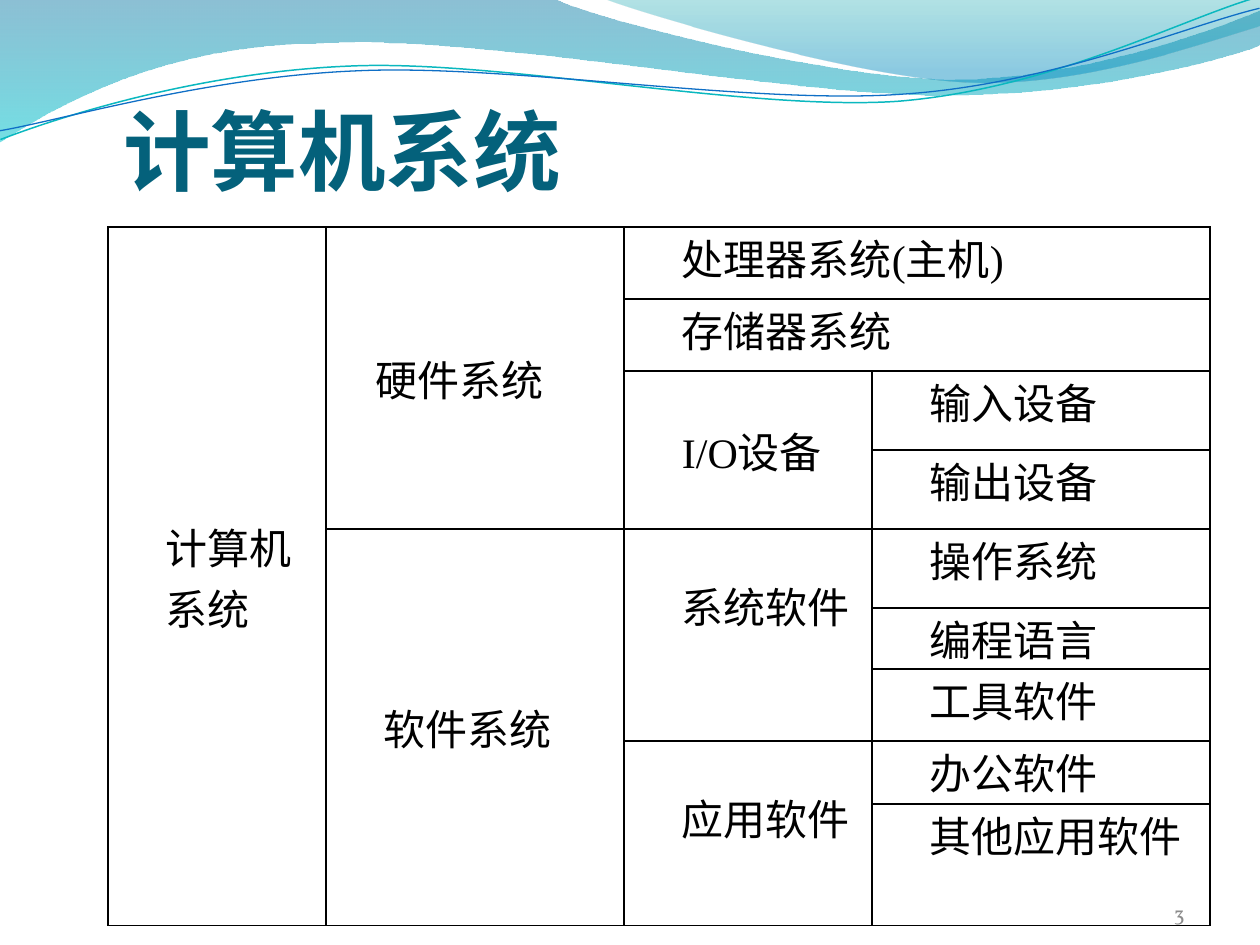
import lxml.etree
import pptx
import pptx.dml.color
import pptx.enum.text
import pptx.oxml.ns
import pptx.util

SCALE = 914400 / 126
BLACK = pptx.dml.color.RGBColor(0x00, 0x00, 0x00)
TITLE_BLUE = pptx.dml.color.RGBColor(0x04, 0x61, 0x7B)
NUMBER_GRAY = pptx.dml.color.RGBColor(0x8C, 0x8C, 0x8C)
DEEP_BLUE = pptx.dml.color.RGBColor(0x00, 0x74, 0xA1)
CYAN = pptx.dml.color.RGBColor(0x00, 0xC6, 0xCF)
TEAL = pptx.dml.color.RGBColor(0x00, 0xA1, 0xA9)
SKY_BLUE = pptx.dml.color.RGBColor(0x00, 0x8B, 0xBF)
LINE_TEAL = pptx.dml.color.RGBColor(0x0A, 0xB8, 0xBF)
LINE_BLUE = pptx.dml.color.RGBColor(0x0F, 0x6F, 0xC6)
LEFT = pptx.enum.text.PP_ALIGN.LEFT
RIGHT = pptx.enum.text.PP_ALIGN.RIGHT
JUSTIFY = pptx.enum.text.PP_ALIGN.JUSTIFY
TOP = pptx.enum.text.MSO_ANCHOR.TOP
MIDDLE = pptx.enum.text.MSO_ANCHOR.MIDDLE
BOTTOM = pptx.enum.text.MSO_ANCHOR.BOTTOM
qn = pptx.oxml.ns.qn


def px(length):
    return pptx.util.Emu(round(length * SCALE))


def write_text(text_frame, text, font="Times New Roman", size=24, color=BLACK,
               bold=False, align=JUSTIFY, indent=0):
    text_frame.text = text
    for paragraph in text_frame.paragraphs:
        paragraph.alignment = align
        properties = paragraph._p.get_or_add_pPr()
        properties.set("marL", "0")
        properties.set("indent", str(px(indent)))
        for run in paragraph.runs:
            run.font.name = font
            run.font.size = pptx.util.Pt(size)
            run.font.bold = bold
            run.font.color.rgb = color


presentation = pptx.Presentation()
presentation.slide_width = px(1260)
presentation.slide_height = px(945)
slide = presentation.slides.add_slide(presentation.slide_layouts[5])

waves = [
    {"start": (0, -1),
     "segments": [[(554, -1)],
                  [(600, 21), (837, 79), (955, 79)],
                  [(1075, 79), (1207, 33), (1260, 11)],
                  [(1261, 45)],
                  [(1239, 55), (1096, 96), (940, 95)],
                  [(784, 95), (481, 35), (324, 43)],
                  [(163, 44), (58, 105), (-1, 142)]],
     "stops": [(0, DEEP_BLUE, 45), (1, CYAN, 55)]},
    {"start": (604, -1),
     "segments": [[(641, 14), (859, 78), (969, 82)],
                  [(1084, 87), (1211, 40), (1260, 26)],
                  [(1260, 0)]],
     "stops": [(0, TEAL, 30), (0.8, SKY_BLUE, 45)]},
    {"start": (-2, 110),
     "segments": [[(58, 90), (199, 52), (350, 53)],
                  [(499, 53), (745, 117), (896, 114)],
                  [(1049, 109), (1184, 45), (1260, 27)]],
     "line": (LINE_TEAL, 0.85)},
    {"start": (-2, 101),
     "segments": [[(57, 94), (207, 57), (357, 58)],
                  [(509, 58), (750, 111), (902, 107)],
                  [(1052, 104), (1188, 52), (1262, 38)]],
     "line": (LINE_BLUE, 0.75)},
]
for wave in waves:
    points = [tuple(px(value) for value in point)
              for segment in wave["segments"] for point in segment]
    builder = slide.shapes.build_freeform(*(px(value) for value in wave["start"]))
    builder.add_line_segments(points, close="stops" in wave)
    shape = builder.convert_to_shape()
    shape.shadow.inherit = False
    straight_parts = iter(list(shape.element.spPr.iter(qn("a:lnTo"))))
    for segment in wave["segments"]:
        parts = [next(straight_parts) for _ in segment]
        if len(parts) == 3:
            curve = lxml.etree.Element(qn("a:cubicBezTo"))
            parts[0].addprevious(curve)
            for part in parts:
                curve.append(part[0])
                part.getparent().remove(part)
    if "stops" in wave:
        shape.line.fill.background()
        shape.fill.gradient()
        shape.fill.gradient_angle = 270
        for stop, (position, color, _) in zip(shape.fill.gradient_stops, wave["stops"]):
            stop.position = position
            stop.color.rgb = color
        colors = shape.element.spPr.iter(qn("a:srgbClr"))
        for element, (_, _, opacity) in zip(colors, wave["stops"]):
            lxml.etree.SubElement(element, qn("a:alpha"), val=str(opacity * 1000))
    else:
        color, width = wave["line"]
        shape.rotation = 357.3
        shape.fill.background()
        shape.line.color.rgb = color
        shape.line.width = pptx.util.Pt(width)

title = slide.shapes.title
title.left, title.top, title.width, title.height = px(123), px(76), px(1071), px(126)
write_text(title.text_frame, "计算机系统", font="Calibri", size=50, color=TITLE_BLUE,
           bold=True, align=LEFT)
title.text_frame.vertical_anchor = BOTTOM
title.text_frame.auto_size = pptx.enum.text.MSO_AUTO_SIZE.NONE
title.text_frame.margin_left = title.text_frame.margin_right = 0
title.text_frame.margin_top = px(6)
title.text_frame.margin_bottom = 0
slide.shapes.element.append(title.element)

column_widths = [218, 298, 248, 338]
row_heights = [72, 72, 79, 79, 79, 60, 72, 63, 64]
frame = slide.shapes.add_table(len(row_heights), len(column_widths), px(108), px(227),
                               px(sum(column_widths)), px(sum(row_heights)))
table = frame.table
table.first_row = False
table.horz_banding = False
for column, width in zip(table.columns, column_widths):
    column.width = px(width)
for row, height in zip(table.rows, row_heights):
    row.height = px(height)

for cell in table.iter_cells():
    properties = cell._tc.get_or_add_tcPr()
    for side in ("a:lnL", "a:lnR", "a:lnT", "a:lnB"):
        border = lxml.etree.SubElement(properties, qn(side), w=str(pptx.util.Pt(1)))
        fill = lxml.etree.SubElement(border, qn("a:solidFill"))
        lxml.etree.SubElement(fill, qn("a:srgbClr"), val=str(BLACK))
    cell.fill.background()
    cell.margin_left = cell.margin_right = px(9)
    cell.margin_top = cell.margin_bottom = 0

entries = [
    (0, 0, 9, 1, "计算机\n系统", MIDDLE, 49, 0),
    (0, 1, 4, 1, "硬件系统", MIDDLE, 41, 0),
    (0, 2, 1, 2, "处理器系统(主机)", TOP, 49, 0),
    (1, 2, 1, 2, "存储器系统", TOP, 49, 0),
    (2, 2, 2, 1, "I/O设备", MIDDLE, 49, 0),
    (4, 1, 5, 1, "软件系统", MIDDLE, 49, 0),
    (4, 2, 3, 1, "系统软件", TOP, 49, 46),
    (7, 2, 2, 1, "应用软件", TOP, 49, 46),
]
details = ["输入设备", "输出设备", "操作系统", "编程语言", "工具软件", "办公软件", "其他应用软件"]
entries += [(row, 3, 1, 1, text, TOP, 49, 0) for row, text in enumerate(details, 2)]
for row, column, row_span, column_span, text, anchor, indent, margin_top in entries:
    cell = table.cell(row, column)
    if row_span * column_span > 1:
        cell.merge(table.cell(row + row_span - 1, column + column_span - 1))
    write_text(cell.text_frame, text, indent=indent)
    cell.vertical_anchor = anchor
    cell.margin_top = px(margin_top)

number = slide.shapes.add_textbox(px(1092), px(900), px(105), px(26))
number.text_frame.word_wrap = True
number.text_frame.vertical_anchor = MIDDLE
write_text(number.text_frame, "3", font="Vollkorn", size=12, color=NUMBER_GRAY, align=RIGHT)

presentation.save("out.pptx")
